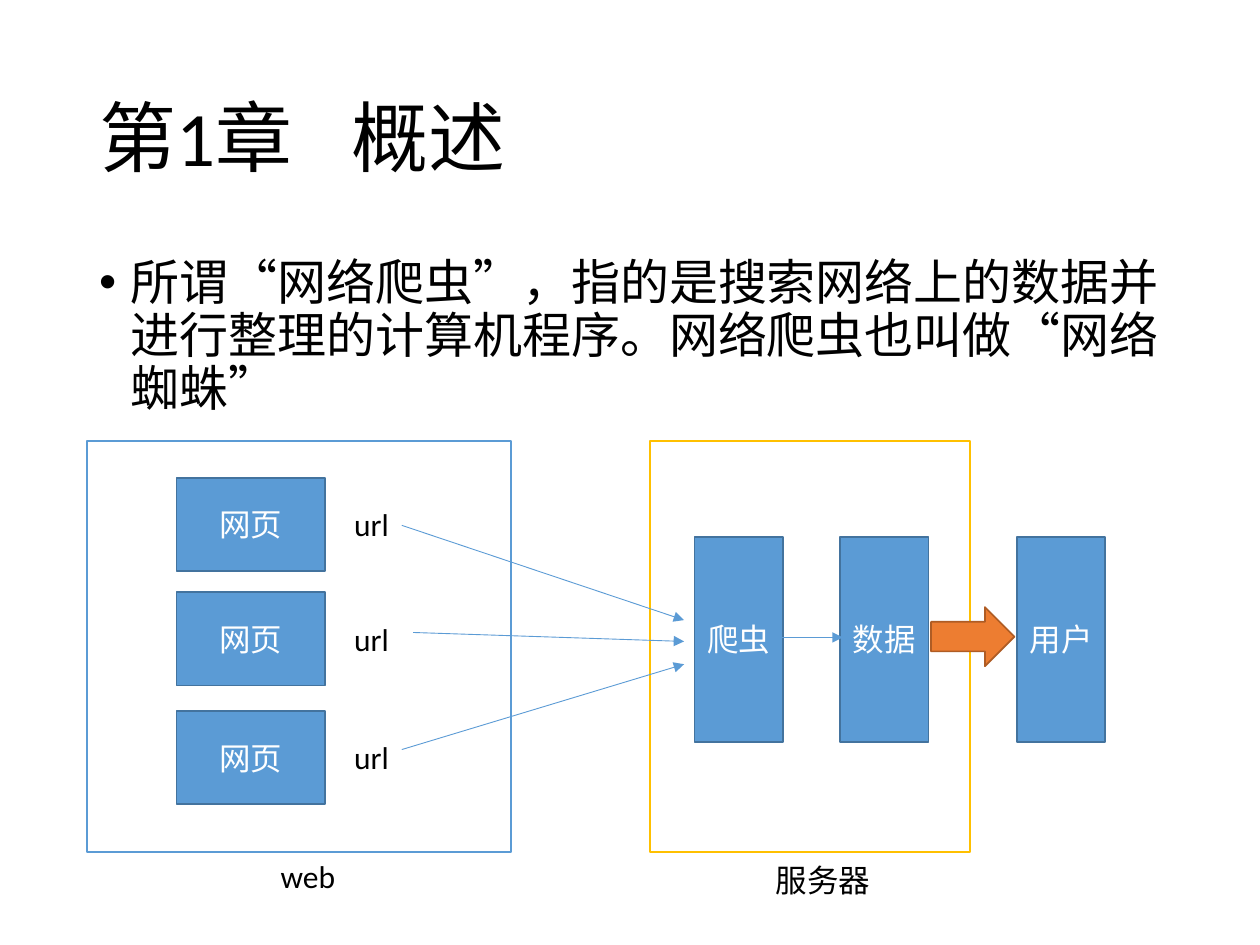
from lxml.etree import SubElement
from pptx import Presentation
from pptx.dml.color import RGBColor
from pptx.enum.shapes import MSO_CONNECTOR, MSO_SHAPE
from pptx.enum.text import MSO_ANCHOR, MSO_AUTO_SIZE, PP_ALIGN
from pptx.oxml.ns import qn
from pptx.util import Cm, Pt

BLUE, DARK_BLUE = "5B9BD5", "43739E"
ORANGE, DARK_ORANGE = "ED7D31", "AF5C24"
GOLD, WHITE, BLACK = "FFC000", "FFFFFF", "000000"


def colour(value):
    return RGBColor.from_string(value)


def write(frame, text, size=18, ink=BLACK):
    paragraph = frame.paragraphs[0]
    run = paragraph.add_run()
    run.text = text
    font_format = {"name": "Calibri", "size": Pt(size)}
    for name, value in font_format.items():
        setattr(run.font, name, value)
    run.font.color.rgb = colour(ink)
    return paragraph


deck = Presentation()
deck.slide_width, deck.slide_height = Cm(25.4), Cm(19.05)
slide = deck.slides.add_slide(deck.slide_layouts[5])
shapes = slide.shapes

margin, content_width = 1.75, 21.9
heading = shapes.title
heading.left, heading.top = Cm(margin), Cm(1.02)
heading.width, heading.height = Cm(content_width), Cm(3.68)
heading.text_frame.vertical_anchor = MSO_ANCHOR.MIDDLE
heading.text_frame.auto_size = MSO_AUTO_SIZE.NONE
chapter = write(heading.text_frame, "第1章\t概述", size=44)
chapter.alignment = PP_ALIGN.LEFT
chapter.line_spacing = 0.9

zone_top, zone_height = 8.89, 8.28
page_left, page_width, page_height = 3.56, 3, 1.88
page_tops = [9.63, 11.94, 14.33]
stage_top, stage_width, stage_height = 10.82, 1.78, 4.14
stage_lefts = {"爬虫": 14, "数据": 16.94, "用户": 20.5}

flows = [
    (8.1, 10.59, 13.79, 12.5),
    (8.33, 12.75, 13.79, 12.93),
    (8.1, 15.11, 13.79, 13.39),
    (15.77, 12.85, 16.99, 12.85),
]

blocks = [
    (MSO_SHAPE.RECTANGLE, "", 13.11, zone_top, 6.45, zone_height, WHITE, GOLD),
    (MSO_SHAPE.RECTANGLE, "", margin, zone_top, 8.56, zone_height, WHITE, BLUE),
]
for top in page_tops:
    blocks.append((MSO_SHAPE.RECTANGLE, "网页", page_left, top,
                   page_width, page_height, BLUE, DARK_BLUE))
for stage, left in stage_lefts.items():
    blocks.append((MSO_SHAPE.RECTANGLE, stage, left, stage_top,
                   stage_width, stage_height, BLUE, DARK_BLUE))
blocks.append((MSO_SHAPE.RIGHT_ARROW, "", 18.77, 12.24, 1.68, 1.19, ORANGE, DARK_ORANGE))

for kind, text, left, top, width, height, fill, outline in blocks:
    block = shapes.add_shape(kind, Cm(left), Cm(top), Cm(width), Cm(height))
    block.shadow.inherit = False
    block.fill.solid()
    block.fill.fore_color.rgb = colour(fill)
    block.line.color.rgb = colour(outline)
    block.line.width = Pt(1)
    if text:
        block.text_frame.vertical_anchor = MSO_ANCHOR.MIDDLE
        write(block.text_frame, text, ink=WHITE).alignment = PP_ALIGN.CENTER

for start_x, start_y, end_x, end_y in flows:
    flow = shapes.add_connector(MSO_CONNECTOR.STRAIGHT,
                                Cm(start_x), Cm(start_y), Cm(end_x), Cm(end_y))
    flow.line.color.rgb = colour(BLUE)
    flow.line.width = Pt(0.5)
    flow_properties = flow.element.spPr
    SubElement(flow_properties.find(qn("a:ln")), qn("a:tailEnd"), type="triangle")
    SubElement(flow_properties, qn("a:effectLst"))

label_height = 1.02
labels = [("web", 5.41, 17.15, 1.63), ("服务器", 15.39, 17.23, 2.44)]
for top in page_tops:
    labels.append(("url", 6.89, top + (page_height - label_height) / 2, 1.22))

for text, left, top, width in labels:
    label = shapes.add_textbox(Cm(left), Cm(top), Cm(width), Cm(label_height))
    label.text_frame.word_wrap = False
    label.text_frame.auto_size = MSO_AUTO_SIZE.SHAPE_TO_FIT_TEXT
    write(label.text_frame, text)

definition = shapes.add_textbox(Cm(margin), Cm(5.08), Cm(content_width), Cm(12.09))
definition.text_frame.word_wrap = True
statement = write(
    definition.text_frame,
    "所谓“网络爬虫”，指的是搜索网络上的数据并进行整理的计算机程序。网络爬虫也叫做“网络蜘蛛”",
    size=28)
statement.line_spacing = 0.9
statement.space_before = Pt(10)

hanging = Cm(0.64)
bullet = statement._p.get_or_add_pPr()
bullet.set("marL", str(hanging))
bullet.set("indent", str(-hanging))
SubElement(bullet, qn("a:buFont"), typeface="Arial")
SubElement(bullet, qn("a:buChar"), char="•")

deck.save("out.pptx")
